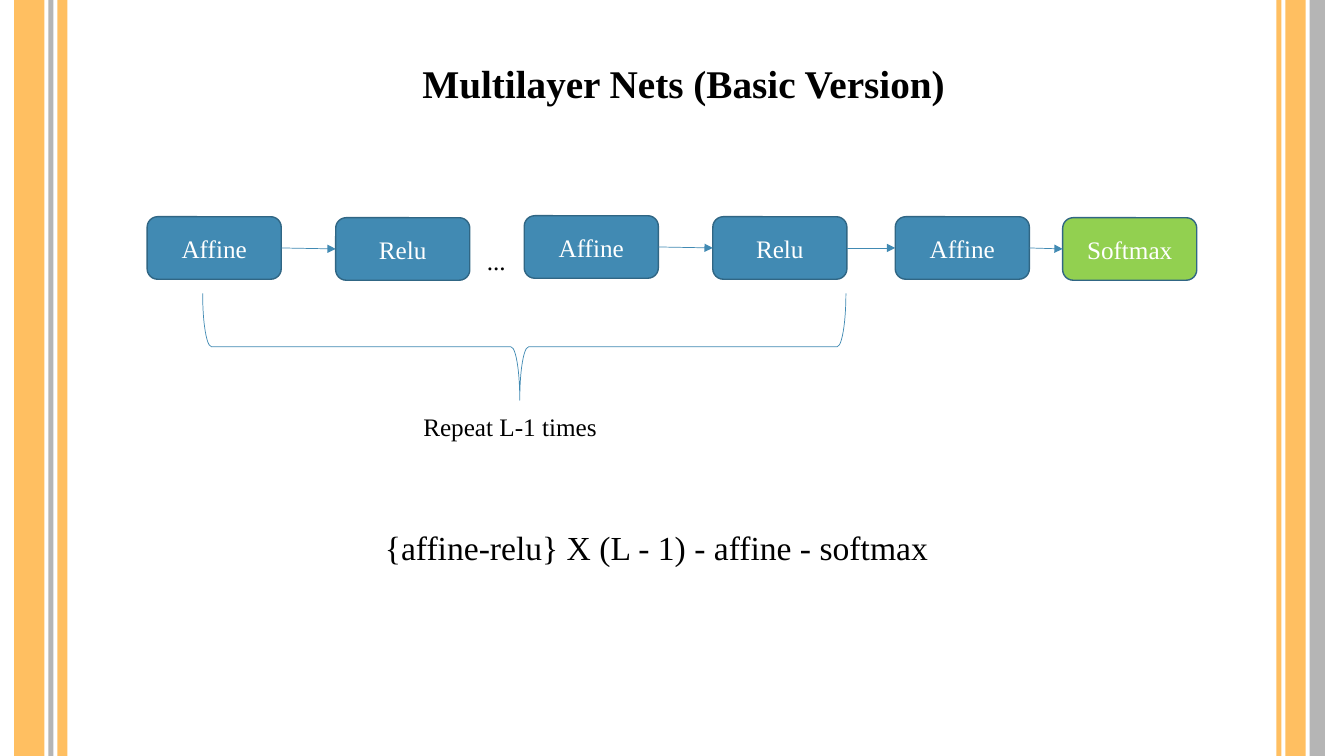
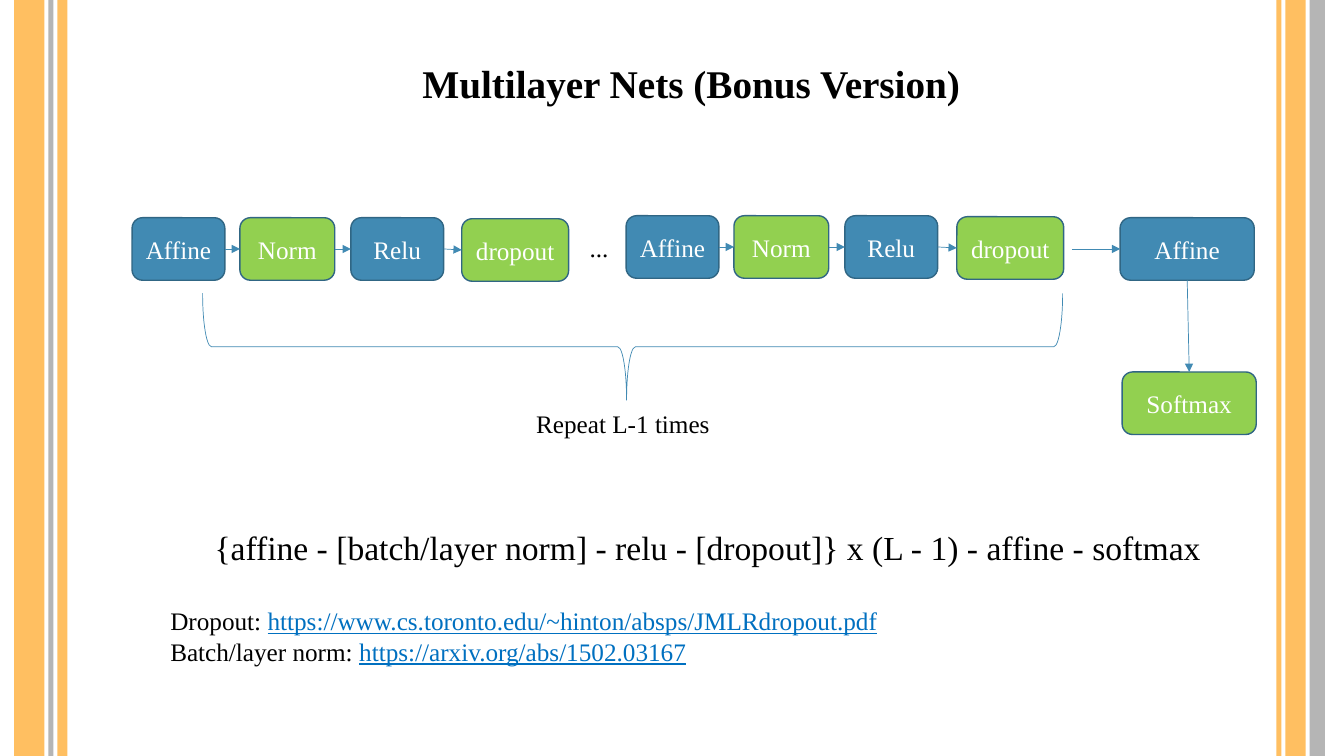
from itertools import pairwise

from lxml import etree
from pptx import Presentation
from pptx import util as u
from pptx.dml.color import RGBColor
from pptx.enum import shapes, text
from pptx.oxml.ns import qn

PX = 9144  # EMU in one px, 100 px to the inch
SLIDE_SIZE = (1333, 750)
FONT = "Times New Roman"
COLOURS = {
    "orange": "FFBF61", "grey": "B5B5B5", "blue": "418AB3", "outline": "306684",
    "green": "92D050", "link": "0070C0", "black": "000000", "white": "FFFFFF",
}
# left, width, colour
BANDS = [
    (14, 30, "orange"), (48, 5, "grey"), (57, 10, "orange"),
    (1266, 5, "orange"), (1275, 20, "orange"), (1299, 15, "grey"),
]
BLOCK_HEIGHT = 62
BLOCK_COLOURS = {"Affine": "blue", "Relu": "blue", "Norm": "green",
                 "dropout": "green", "Softmax": "green"}
TITLE_BOX = (409, 54, 698, 57)
TITLE_FORMAT = {"size": u.Pt(28), "bold": True}
FORMULA_FORMAT = {"size": u.Pt(24)}
LINK_FORMAT = {"underline": True}
BRACE = {"left": 201, "top": 291, "depth": 106}
BRACE_ADJUSTMENTS = (0.083, 0.493)
TOP, RIGHT, BOTTOM, LEFT = 0, 3, 2, 1

# chains: blocks joined left to right, each (label, left, top, width)
# below: a block under the last one; lead: start of an arrow into the last chain
SLIDES = [
    {
        "title": "Multilayer Nets (Basic Version)",
        "chains": [
            [("Affine", 146, 215, 133), ("Relu", 333, 216, 133)],
            [("Affine", 520, 214, 133), ("Relu", 707, 215, 133),
             ("Affine", 888, 215, 133), ("Softmax", 1054, 216, 133)],
        ],
        "brace_right": 839,
        "dots": (473, 238, 194, 40),
        "repeat": (410, 403, 220, 40),
        "formula": ("{affine-relu} X (L - 1) - affine - softmax", (372, 518, 564, 50)),
    },
    {
        "title": "Multilayer Nets (Bonus Version)",
        "chains": [
            [("Affine", 131, 216, 92), ("Norm", 238, 216, 94),
             ("Relu", 348, 216, 92), ("dropout", 458, 217, 106)],
            [("Affine", 621, 214, 92), ("Norm", 728, 214, 94),
             ("Relu", 838, 214, 92), ("dropout", 949, 215, 106)],
            [("Affine", 1111, 216, 133)],
        ],
        "lead": (1063, 247),
        "below": ("Softmax", 1113, 369, 133),
        "brace_right": 1054,
        "dots": (575, 226, 194, 40),
        "repeat": (522, 400, 220, 40),
        "formula": ("{affine - [batch/layer norm] - relu - [dropout]} x (L - 1) - affine - softmax",
                    (203, 518, 1007, 50)),
        "links": [
            ("Dropout: ", "https://www.cs.toronto.edu/~hinton/absps/JMLRdropout.pdf"),
            ("Batch/layer norm: ", "https://arxiv.org/abs/1502.03167"),
        ],
        "links_box": (159, 596, 1085, 71),
    },
]


def emu(*lengths):
    return [u.Emu(round(length * PX)) for length in lengths]


def rgb(name):
    return RGBColor.from_string(COLOURS[name])


def set_values(target, values):
    for name, value in values.items():
        setattr(target, name, value)


def add_run(paragraph, words, colour="black", **font_format):
    run = paragraph.add_run()
    run.text = words
    set_values(run.font, {"name": FONT, "size": u.Pt(18), **font_format})
    run.font.color.rgb = rgb(colour)


def add_text(slide, box, lines, wrap=True, **font_format):
    """Each line is a list of (words, colour, run format)."""
    frame = slide.shapes.add_textbox(*emu(*box)).text_frame
    set_values(frame, {"word_wrap": wrap,
                       "auto_size": text.MSO_AUTO_SIZE.SHAPE_TO_FIT_TEXT})
    for index, line in enumerate(lines):
        paragraph = frame.add_paragraph() if index else frame.paragraphs[0]
        for words, colour, run_format in line:
            add_run(paragraph, words, colour, **font_format, **run_format)


def add_line_of_text(slide, box, words, **options):
    add_text(slide, box, [[(words, "black", {})]], **options)


def add_shape(slide, kind, box, fill=None, line=None, width=1):
    shape = slide.shapes.add_shape(kind, *emu(*box))
    shape.shadow.inherit = False
    if fill:
        shape.fill.solid()
        shape.fill.fore_color.rgb = rgb(fill)
    else:
        shape.fill.background()
    if line:
        shape.line.color.rgb = rgb(line)
        shape.line.width = u.Pt(width)
    else:
        shape.line.fill.background()
    return shape


def add_block(slide, label, left, top, width):
    block = add_shape(slide, shapes.MSO_SHAPE.ROUNDED_RECTANGLE,
                      (left, top, width, BLOCK_HEIGHT), BLOCK_COLOURS[label], "outline")
    set_values(block.text_frame, {"margin_left": 0, "margin_right": 0, "word_wrap": True,
                                  "vertical_anchor": text.MSO_ANCHOR.MIDDLE})
    paragraph = block.text_frame.paragraphs[0]
    paragraph.alignment = text.PP_ALIGN.CENTER
    add_run(paragraph, label, "white")
    return block


def add_arrow(slide, end, end_side=LEFT, begin=None, begin_side=RIGHT, start=(0, 0)):
    """Arrow to a block, from another block or from a free starting point."""
    arrow = slide.shapes.add_connector(shapes.MSO_CONNECTOR.STRAIGHT, *emu(*start, *start))
    if begin is not None:
        arrow.begin_connect(begin, begin_side)
    arrow.end_connect(end, end_side)
    arrow.line.color.rgb = rgb("blue")
    arrow.line.width = u.Pt(0.5)
    etree.SubElement(arrow.line._get_or_add_ln(), qn("a:tailEnd"), type="triangle")
    etree.SubElement(arrow._element.spPr, qn("a:effectLst"))


def add_brace(slide, right):
    """Brace under the blocks: a left brace turned to point down."""
    span, depth = right - BRACE["left"], BRACE["depth"]
    left = BRACE["left"] + (span - depth) / 2
    top = BRACE["top"] + (depth - span) / 2
    brace = add_shape(slide, shapes.MSO_SHAPE.LEFT_BRACE, (left, top, depth, span),
                      line="blue", width=0.5)
    brace.rotation = 270
    for index, value in enumerate(BRACE_ADJUSTMENTS):
        brace.adjustments[index] = value


def add_network(slide, content):
    chains = [[add_block(slide, *block) for block in chain] for chain in content["chains"]]
    for chain in chains:
        for begin, end in pairwise(chain):
            add_arrow(slide, end, begin=begin)
    if "lead" in content:
        add_arrow(slide, chains[-1][0], start=content["lead"])
    if "below" in content:
        add_arrow(slide, add_block(slide, *content["below"]), TOP, chains[-1][-1], BOTTOM)
    add_brace(slide, content["brace_right"])


def build_slide(presentation, content):
    slide = presentation.slides.add_slide(presentation.slide_layouts[6])
    for left, width, colour in BANDS:
        add_shape(slide, shapes.MSO_SHAPE.RECTANGLE, (left, 0, width, SLIDE_SIZE[1]), colour)
    add_line_of_text(slide, TITLE_BOX, content["title"], **TITLE_FORMAT)
    add_network(slide, content)
    add_line_of_text(slide, content["dots"], "...")
    add_line_of_text(slide, content["repeat"], "Repeat L-1 times")
    formula, box = content["formula"]
    add_line_of_text(slide, box, formula, wrap=False, **FORMULA_FORMAT)
    if "links" in content:
        add_text(slide, content["links_box"],
                 [[(label, "black", {}), (address, "link", LINK_FORMAT)]
                  for label, address in content["links"]])


def main():
    presentation = Presentation()
    presentation.slide_width, presentation.slide_height = emu(*SLIDE_SIZE)
    for content in SLIDES:
        build_slide(presentation, content)
    presentation.save("out.pptx")


if __name__ == "__main__":
    main()
